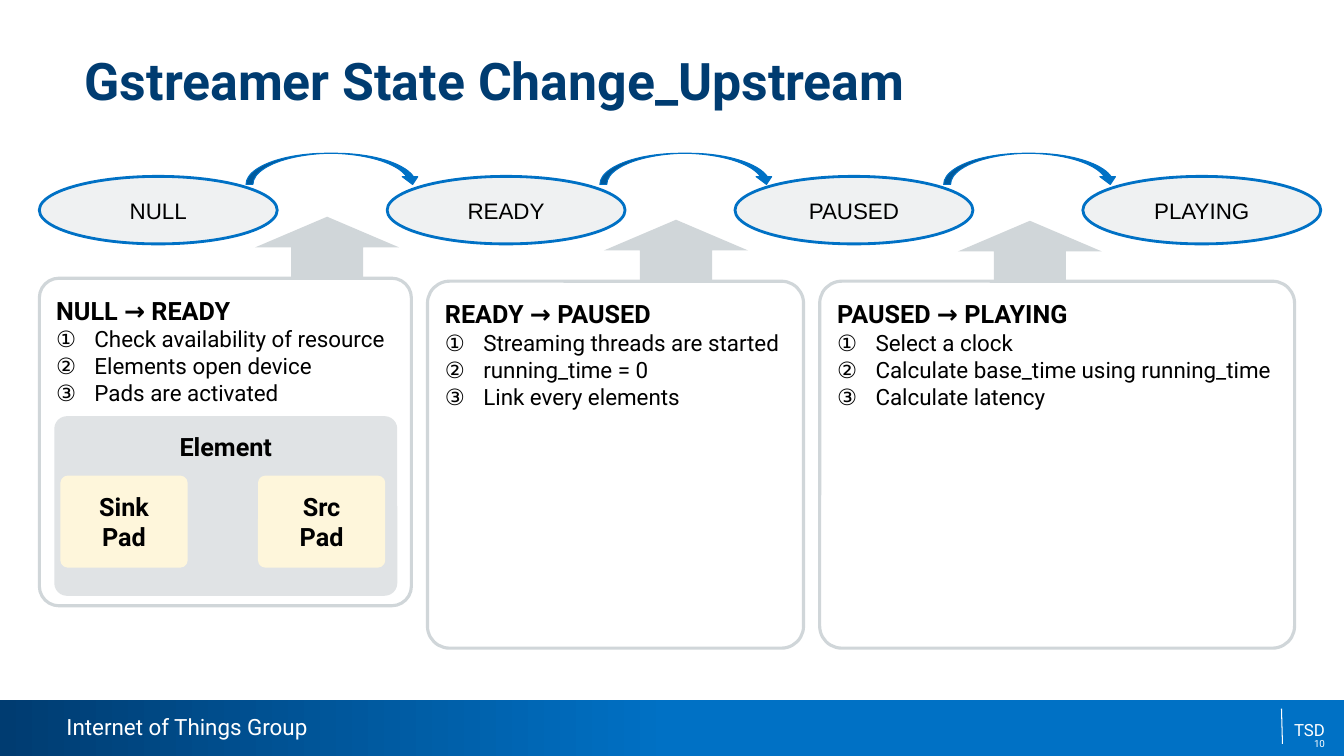
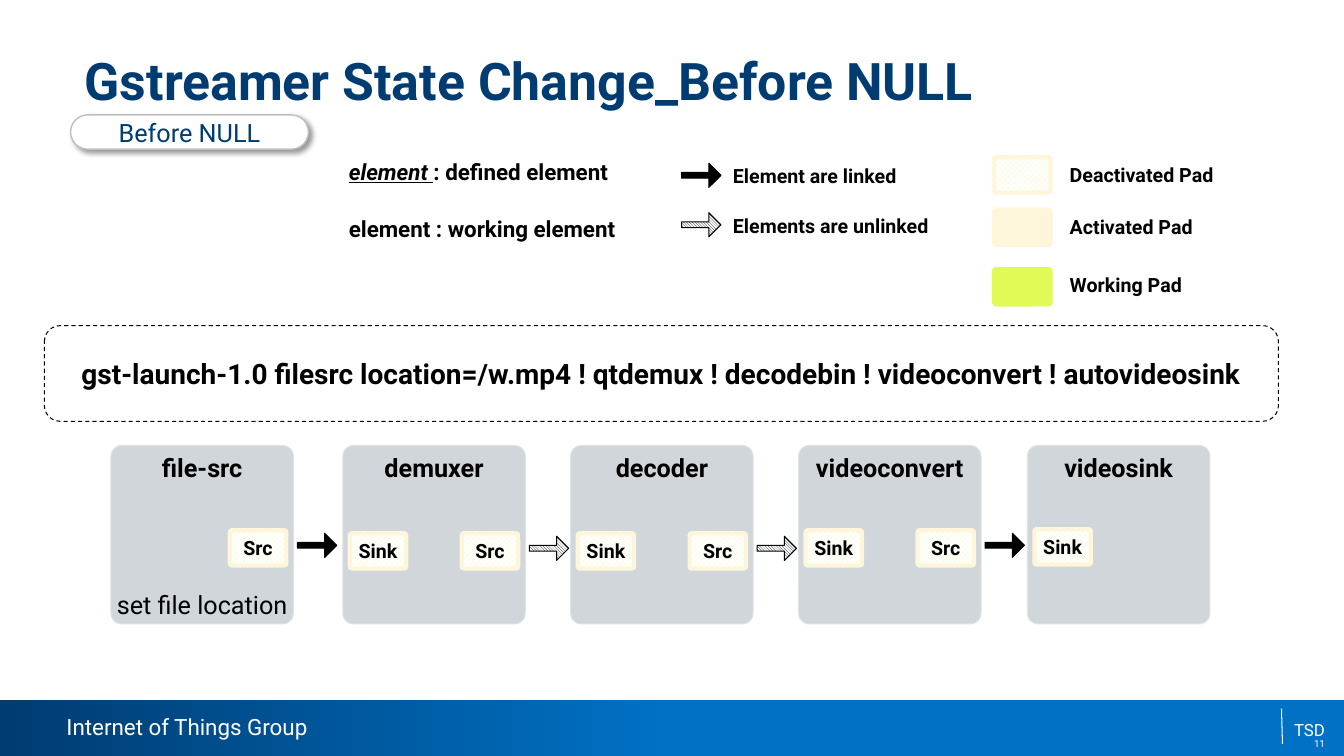
from dataclasses import dataclass

from pptx import Presentation
from pptx import util as u
from pptx.dml import color
from pptx.enum import dml, shapes, text
from pptx.oxml import ns
from pptx.oxml import xmlchemy as x

KIND = shapes.MSO_SHAPE
ALIGN = text.PP_ALIGN
ANCHOR = text.MSO_ANCHOR
DIAMONDS = dml.MSO_PATTERN.SOLID_DIAMOND
DIAGONALS = dml.MSO_PATTERN.LIGHT_DOWNWARD_DIAGONAL


@dataclass(frozen=True)
class Theme:
    navy: str = "003C71"
    blue: str = "0071C5"
    white: str = "FFFFFF"
    black: str = "000000"
    oval: str = "EFF1F2"
    gray: str = "D0D6D9"
    pale: str = "E0E3E5"
    border: str = "BFBFBF"
    cream: str = "FEF6DB"
    dots: str = "F6FDC7"
    lime: str = "E3F956"
    font: str = "Roboto"
    plain_font: str = "Arial"
    title: int = 37
    command: int = 20
    heading: int = 18
    body: int = 16
    label: int = 14
    tag: int = 12
    number: int = 7
    corner: float = 0.06


THEME = Theme()


def rgb(value):
    return color.RGBColor.from_string(value)


class Deck:
    """Hold the style and the current slide, and draw each kind of element."""

    def __init__(self, theme):
        self.theme = theme
        self.presentation = Presentation()
        self.presentation.slide_width = u.Inches(13.33)
        self.presentation.slide_height = u.Inches(7.5)
        self.slide = None

    def new_slide(self, title, number):
        theme = self.theme
        self.slide = self.presentation.slides.add_slide(self.presentation.slide_layouts[5])
        self.footer(number)
        placeholder = self.slide.shapes.title
        box = {"left": 0.84, "top": 0.48, "width": 12, "height": 1.27}
        for name, value in box.items():
            setattr(placeholder, name, u.Inches(value))
        self.set_text(placeholder, [title], ANCHOR.TOP, ALIGN.LEFT, wrap=True,
                      size=theme.title, bold=True, color=theme.navy)

    def footer(self, number):
        theme = self.theme
        band = self.shape(KIND.RECTANGLE, 0, 6.94, 13.33, 0.56)
        band.fill.gradient()
        band.fill.gradient_angle = 0
        stops = zip(band.fill.gradient_stops, (0, 0.5), (theme.navy, theme.blue))
        for stop, position, value in stops:
            stop.position = position
            stop.color.rgb = rgb(value)
        self.line(12.71, 7.03, 12.72, 7.38, theme.white, 0.75)
        self.label("Internet of Things Group", 0.66, 7.08, 3, 0.27,
                   size=theme.body, color=theme.white)
        for content, top, height, size in (("TSD", 7.09, 0.3, theme.tag),
                                           (number, 7.28, 0.2, theme.number)):
            self.label(content, 12.24, top, 1, height, ANCHOR.MIDDLE, ALIGN.RIGHT,
                       margins=(0, 0, 0.1, 0), size=size, color=theme.white)

    def line(self, left, top, right, bottom, value, width):
        connector = self.slide.shapes.add_connector(
            shapes.MSO_CONNECTOR.STRAIGHT, *map(u.Inches, (left, top, right, bottom)))
        connector.line.color.rgb = rgb(value)
        connector.line.width = u.Pt(width)
        connector.element.spPr.append(x.OxmlElement("a:effectLst"))

    def shape(self, kind, left, top, width, height, fill=None, pattern=None,
              line=None, weight=0.75, adjust=()):
        shape = self.slide.shapes.add_shape(
            kind, *map(u.Inches, (left, top, width, height)))
        shape.shadow.inherit = False
        for index, value in enumerate(adjust):
            shape.adjustments[index] = value
        if pattern is not None:
            shape.fill.patterned()
            shape.fill.pattern = pattern
            shape.fill.fore_color.rgb = rgb(fill)
            shape.fill.back_color.rgb = rgb(self.theme.white)
        elif fill:
            shape.fill.solid()
            shape.fill.fore_color.rgb = rgb(fill)
        else:
            shape.fill.background()
        if line:
            shape.line.color.rgb = rgb(line)
            shape.line.width = u.Pt(weight)
        else:
            shape.line.fill.background()
        return shape

    def rounded(self, left, top, width, height, **style):
        style = {"adjust": (self.theme.corner,), **style}
        return self.shape(KIND.ROUNDED_RECTANGLE, left, top, width, height, **style)

    def set_text(self, shape, lines, anchor=ANCHOR.MIDDLE, align=ALIGN.CENTER,
                 margins=(0, 0, 0, 0), wrap=False, **font):
        frame = shape.text_frame
        sides = ("margin_left", "margin_top", "margin_right", "margin_bottom")
        settings = dict(zip(sides, map(u.Inches, margins)))
        settings |= {"word_wrap": wrap, "auto_size": text.MSO_AUTO_SIZE.NONE,
                     "vertical_anchor": anchor}
        for name, value in settings.items():
            setattr(frame, name, value)
        for index, line in enumerate(lines):
            paragraph = frame.add_paragraph() if index else frame.paragraphs[0]
            paragraph.alignment = align
            for content, extra in [(line, {})] if isinstance(line, str) else line:
                run = paragraph.add_run()
                run.text = content
                self.set_font(run.font, {**font, **extra})
        return frame

    def set_font(self, font, values):
        values = {"name": self.theme.font, "bold": False,
                  "color": self.theme.black, **values}
        font.color.rgb = rgb(values.pop("color"))
        values["size"] = u.Pt(values["size"])
        for name, value in values.items():
            setattr(font, name, value)

    def label(self, line, left, top, width, height, anchor=ANCHOR.TOP,
              align=ALIGN.LEFT, **style):
        box = self.slide.shapes.add_textbox(*map(u.Inches, (left, top, width, height)))
        self.set_text(box, [line], anchor, align, wrap=True, **style)

    def state(self, name, left):
        oval = self.shape(KIND.OVAL, left, 1.75, 2.36, 0.67, self.theme.oval,
                          line=self.theme.blue, weight=2)
        self.set_text(oval, [name], size=self.theme.body, name=self.theme.plain_font)

    def card(self, heading, steps, left, top, width, height):
        theme = self.theme
        card = self.rounded(left, top, width, height, line=theme.gray, weight=2.25)
        lines = [[(heading, {"size": theme.heading, "bold": True})], *steps]
        frame = self.set_text(card, lines, ANCHOR.TOP, ALIGN.LEFT, (0.11, 0.11, 0, 0),
                              wrap=True, size=theme.body)
        for paragraph in frame.paragraphs[1:]:
            properties = paragraph._p.get_or_add_pPr()
            properties.set("marL", str(u.Inches(0.38)))
            properties.set("indent", str(-u.Inches(0.38)))
            bullet = x.OxmlElement("a:buAutoNum")
            bullet.set("type", "circleNumDbPlain")
            properties.append(bullet)

    def element(self, name, left, top, width, height, inset, **style):
        box = self.rounded(left, top, width, height, line=self.theme.pale, **style)
        self.set_text(box, [name], ANCHOR.TOP, margins=(0, inset, 0, 0),
                      size=self.theme.heading, bold=True)

    def pad(self, lines, left, top, fill, line=None, pattern=None,
            width=0.56, height=0.35, size=THEME.label):
        pad = self.rounded(left, top, width, height, fill=fill, pattern=pattern,
                           line=line or fill, weight=3)
        if lines:
            self.set_text(pad, lines, size=size, bold=True)

    def idle_pad(self, lines, left, top):
        self.pad(lines, left, top, self.theme.dots, self.theme.cream, DIAMONDS)

    def link(self, left, top, linked):
        self.shape(KIND.RIGHT_ARROW, left, top, 0.39, 0.24, self.theme.black,
                   None if linked else DIAGONALS, self.theme.black,
                   adjust=(0.238, 0.5))

    def pill(self, name, left, top, width, height):
        pill = self.rounded(left, top, width, height, fill=self.theme.white,
                            line=self.theme.border, weight=1, adjust=(0.5,))
        self.set_text(pill, [name], size=self.theme.heading, color=self.theme.navy)
        shadow = x.OxmlElement("a:outerShdw")
        values = {"blurRad": u.Pt(4), "dist": u.Pt(3), "dir": 45 * 60000, "rotWithShape": 0}
        for key, value in values.items():
            shadow.set(key, str(int(value)))
        tint = x.OxmlElement("a:srgbClr")
        tint.set("val", self.theme.black)
        alpha = x.OxmlElement("a:alpha")
        alpha.set("val", "40000")
        tint.append(alpha)
        shadow.append(tint)
        pill.element.spPr.find(ns.qn("a:effectLst")).append(shadow)


def upstream_slide(deck):
    theme = deck.theme
    deck.new_slide("Gstreamer State Change_Upstream", "10")
    for index, name in enumerate(("NULL", "READY", "PAUSED", "PLAYING")):
        deck.state(name, 0.39 + 3.45 * index)
    for left in (2.44, 5.95, 9.36):
        deck.shape(KIND.CURVED_DOWN_ARROW, left, 1.52, 1.73, 0.31, theme.blue,
                   line=theme.blue, adjust=(0.221, 0.5, 0.25))
    for left, top in ((2.53, 2.15), (5.99, 2.18), (9.5, 2.19)):
        deck.shape(KIND.UP_ARROW, left, top, 1.43, 0.61, theme.gray)
    cards = (
        ("NULL → READY", ("Check availability of resource", "Elements open device",
                          "Pads are activated"), 0.39, 2.76, 3.69, 3.25),
        ("READY → PAUSED", ("Streaming threads are started", "running_time = 0",
                            "Link every elements"), 4.24, 2.79, 3.73, 3.64),
        ("PAUSED → PLAYING", ("Select a clock", "Calculate base_time using running_time",
                              "Calculate latency"), 8.13, 2.79, 4.71, 3.64),
    )
    for card in cards:
        deck.card(*card)
    deck.element("Element", 0.56, 4.15, 3.36, 1.74, 0.1, fill=theme.pale, weight=3)
    for name, left in (("Sink", 0.62), ("Src", 2.58)):
        deck.pad([name, "Pad"], left, 4.74, theme.cream, width=1.22, height=0.87,
                 size=theme.heading)


def before_null_slide(deck):
    theme = deck.theme
    deck.new_slide("Gstreamer State Change_Before NULL", "11")
    deck.pill("Before NULL", 0.7, 1.14, 2.36, 0.34)

    defined = [("element ", {"italic": True, "underline": True}), (": defined element", {})]
    for line, top in ((defined, 1.57), ("element : working element", 2.13)):
        deck.label(line, 3.46, top, 3.2, 0.35, size=theme.body, bold=True)
    for name, top, linked in (("Element are linked", 1.62, True),
                              ("Elements are unlinked", 2.11, False)):
        deck.link(6.76, top, linked)
        deck.label(name, 7.27, top + 0.01, 2.4, 0.36, size=theme.label, bold=True)
    deck.idle_pad([], 9.86, 1.56)
    deck.pad([], 9.86, 2.08, theme.cream)
    deck.pad([], 9.86, 2.67, theme.lime)
    for name, top in (("Deactivated Pad", 1.62), ("Activated Pad", 2.13), ("Working Pad", 2.71)):
        deck.label(name, 10.61, top, 2, 0.36, size=theme.label, bold=True)

    command = deck.rounded(0.44, 3.23, 12.24, 0.95, line=theme.black, adjust=())
    command.line.dash_style = dml.MSO_LINE.DASH
    deck.set_text(command, ["gst-launch-1.0 filesrc location=/w.mp4 ! qtdemux ! decodebin"
                            " ! videoconvert ! autovideosink"],
                  size=theme.command, bold=True)

    pad_offsets = {"Sink": 0.07, "Src": 1.18}
    chain = (
        ("file-src", 1.1, 5.26, ("Src",), True),
        ("demuxer", 3.4, 5.29, ("Sink", "Src"), False),
        ("decoder", 5.66, 5.29, ("Sink", "Src"), False),
        ("videoconvert", 7.92, 5.26, ("Sink", "Src"), True),
        ("videosink", 10.19, 5.25, ("Sink",), None),
    )
    for name, left, pad_top, pads, linked in chain:
        deck.element(name, left, 4.42, 1.81, 1.77, 0.04, fill=theme.gray)
        for pad in pads:
            deck.idle_pad([pad], left + pad_offsets[pad], pad_top)
        if linked is not None:
            deck.link(left + 1.85, pad_top + 0.03, linked)
    deck.label("set file location", 1.1, 5.85, 1.81, 0.35, align=ALIGN.CENTER,
               size=theme.heading)


def main():
    deck = Deck(THEME)
    upstream_slide(deck)
    before_null_slide(deck)
    deck.presentation.save("out.pptx")


if __name__ == "__main__":
    main()
